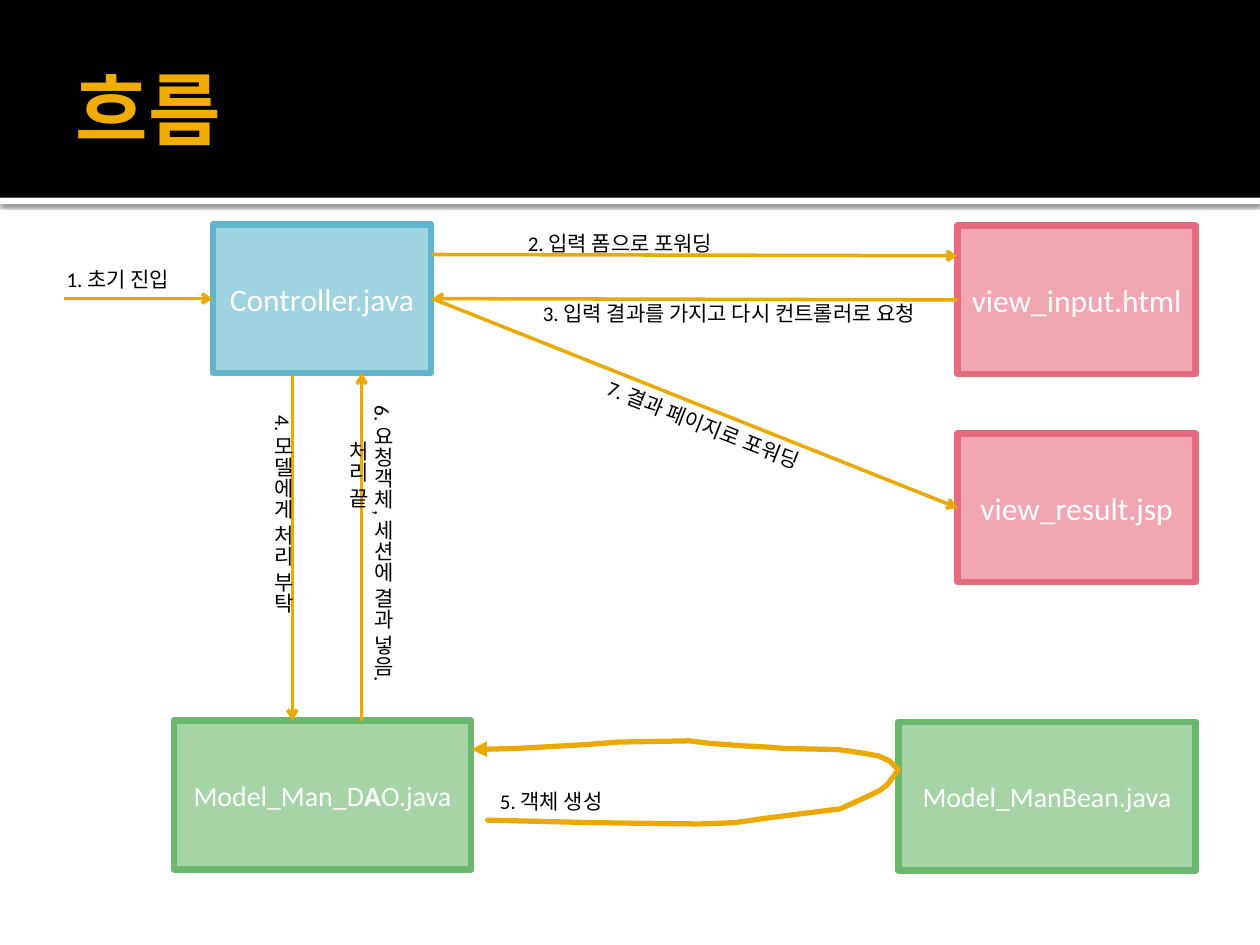
from lxml import etree
from pptx import Presentation
from pptx.dml.color import RGBColor
from pptx.enum.shapes import MSO_CONNECTOR, MSO_SHAPE
from pptx.enum.text import MSO_ANCHOR, MSO_AUTO_SIZE, PP_ALIGN
from pptx.oxml.ns import qn
from pptx.util import Inches, Pt

STRAIGHT = MSO_CONNECTOR.STRAIGHT
RECTANGLE = MSO_SHAPE.RECTANGLE
MIDDLE = MSO_ANCHOR.MIDDLE
GROW = MSO_AUTO_SIZE.SHAPE_TO_FIT_TEXT
NO_FIT = MSO_AUTO_SIZE.NONE
LEFT, CENTER = PP_ALIGN.LEFT, PP_ALIGN.CENTER
TITLE_ONLY = 5


def color(value):
    """Turn a hex string into a colour."""
    return RGBColor.from_string(value)


def add_xml(parent, tag, **attributes):
    """Append a DrawingML element to its parent."""
    values = {name: str(value) for name, value in attributes.items()}
    return etree.SubElement(parent, qn(tag), values)


class FlowSlide:
    """Style of the flow diagram and the slide it is drawn on."""

    font = "Calibri"
    accent = "EBA900"
    white = "FFFFFF"
    black = "000000"
    blue = ("A0D3E0", "60B5CC")
    pink = ("F0A7B1", "E66C7D")
    green = ("A6D4A7", "6BB76D")

    def __init__(self, deck):
        """Add a title-only slide to the deck."""
        self.slide = deck.slides.add_slide(deck.slide_layouts[TITLE_ONLY])
        self.shapes = self.slide.shapes

    def span(self, para, text, size, fill, bold=False):
        """Add one run to a paragraph."""
        span = para.add_run()
        span.text = text
        span.font.name = self.font
        span.font.size = Pt(size)
        span.font.bold = bold
        span.font.color.rgb = color(fill)

    def stroke(self, line, fill, width, arrow=None):
        """Format a line with round joins and an optional arrowhead."""
        line.color.rgb = color(fill)
        line.width = Pt(width)
        outline = line._get_or_add_ln()
        add_xml(outline, "a:round")
        if arrow:
            add_xml(outline, "a:tailEnd", type=arrow)

    def rectangle(self, left, top, width, height, fill):
        """Draw a plain filled rectangle."""
        box = self.shapes.add_shape(RECTANGLE, Inches(left), Inches(top),
                                    Inches(width), Inches(height))
        box.shadow.inherit = False
        box.fill.solid()
        box.fill.fore_color.rgb = color(fill)
        box.line.fill.background()
        return box

    def header(self, text):
        """Draw the title band, its shadowed edge and the title."""
        edge = self.rectangle(0, 1.57, 10, 0.05, self.white)
        effects = edge._element.spPr.find(qn("a:effectLst"))
        shadow = add_xml(effects, "a:outerShdw", blurRad=Pt(2.5), dist=Pt(0.8),
                         dir=5400000, algn="t", rotWithShape=0)
        shade = add_xml(shadow, "a:srgbClr", val=self.black)
        add_xml(shade, "a:alpha", val=60000)
        self.rectangle(0, 0, 10, 1.57, self.black)

        title = self.shapes.title
        title.left, title.top = Inches(0.5), Inches(0.17)
        title.width, title.height = Inches(9), Inches(1.37)
        frame = title.text_frame
        frame.auto_size = NO_FIT
        frame.vertical_anchor = MIDDLE
        frame.margin_left = Inches(0.1)
        frame.margin_right = frame.margin_top = frame.margin_bottom = Inches(0.05)
        para = frame.paragraphs[0]
        para.alignment = LEFT
        self.span(para, text, 45, "F0AD00", True)
        self.shapes._spTree.append(title._element)

    def component(self, left, top, width, colors, size, *spans):
        """Draw a component box; each span is a text and its bold flag."""
        fill, border = colors
        box = self.rectangle(left, top, width, 1.18, fill)
        self.stroke(box.line, border, 3.78)
        frame = box.text_frame
        frame.word_wrap = True
        frame.vertical_anchor = MIDDLE
        para = frame.paragraphs[0]
        para.alignment = CENTER
        for text, bold in spans:
            self.span(para, text, size, self.white, bold)

    def arrow(self, start, end):
        """Draw a straight arrow between two points."""
        ends = [Inches(value) for value in (*start, *end)]
        line = self.shapes.add_connector(STRAIGHT, *ends)
        self.stroke(line.line, self.accent, 2, "arrow")
        add_xml(line._element.spPr, "a:effectLst")

    def loop(self, points):
        """Draw a hand-drawn arrow through the points."""
        first, *rest = [(Inches(x), Inches(y)) for x, y in points]
        builder = self.shapes.build_freeform(*first)
        builder.add_line_segments(rest, close=False)
        curve = builder.convert_to_shape()
        curve.shadow.inherit = False
        curve.fill.background()
        self.stroke(curve.line, self.accent, 3, "triangle")
        curve.line._get_or_add_ln().set("cap", "rnd")

    def label(self, left, top, width, height, *lines,
              vertical=False, wrap=False, rotation=0):
        """Write a step label; lines after the first are indented."""
        box = self.shapes.add_textbox(Inches(left), Inches(top),
                                      Inches(width), Inches(height))
        box.rotation = rotation
        frame = box.text_frame
        frame.word_wrap = wrap
        frame.auto_size = GROW
        if vertical:
            frame._txBody.bodyPr.set("vert", "eaVert")
        for index, text in enumerate(lines):
            para = frame.add_paragraph() if index else frame.paragraphs[0]
            if index:
                para._p.get_or_add_pPr().set("marL", str(Inches(0.28)))
            self.span(para, text, 12, self.black)


deck = Presentation()
deck.slide_width, deck.slide_height = Inches(10), Inches(7.5)
page = FlowSlide(deck)
page.header("흐름")

page.component(1.69, 1.78, 1.73, page.blue, 18, ("Controller.java", False))
page.component(7.6, 1.79, 1.89, page.pink, 18, ("view_input.html", False))
page.component(7.6, 3.44, 1.89, page.pink, 18, ("view_result.jsp", False))
page.component(1.38, 5.72, 2.36, page.green, 16,
               ("Model_Man_D", False), ("A", True), ("O.java", False))
page.component(7.13, 5.73, 2.36, page.green, 16, ("Model_ManBean.java", False))

controller_side = (3.43, 2.37)
for start, end in (
    ((0.51, 2.37), (1.69, 2.37)),
    ((3.43, 2.02), (7.6, 2.03)),
    ((7.6, 2.38), controller_side),
    ((2.32, 2.98), (2.32, 5.72)),
    ((2.87, 5.72), (2.87, 2.96)),
    (controller_side, (7.6, 4.03)),
):
    page.arrow(start, end)

page.loop([
    (3.87, 6.51), (4.71, 6.53), (5.55, 6.54), (5.83, 6.53), (6.11, 6.49),
    (6.43, 6.45), (6.67, 6.42), (6.91, 6.31), (6.99, 6.27), (7.05, 6.22),
    (7.07, 6.19), (7.13, 6.11), (7.06, 6.04), (6.97, 6), (6.86, 5.98),
    (6.73, 5.96), (6.65, 5.95), (6.22, 5.94), (6.09, 5.93), (5.9, 5.92),
    (5.63, 5.9), (5.47, 5.88), (4.91, 5.89), (4.65, 5.91), (4.3, 5.93),
    (4.11, 5.94), (3.74, 5.95),
])

page.label(0.43, 2.07, 1.06, 0.3, "1. 초기 진입")
page.label(4.09, 1.78, 1.78, 0.3, "2. 입력 폼으로 포워딩")
page.label(4.21, 2.34, 3.38, 0.3, "3. 입력 결과를 가지고 다시 컨트롤러로 요청")
page.label(2, 3.2, 0.4, 1.68, "4. 모델에게 처리 부탁", vertical=True)
page.label(2.58, 3.12, 0.61, 2.61, "6. 요청객체, 세션에 결과 넣음.", "처리 끝",
           vertical=True, wrap=True)
page.label(3.87, 6.21, 1.07, 0.3, "5. 객체 생성")
page.label(4.67, 3.24, 1.93, 0.3, "7. 결과 페이지로 포워딩", rotation=21.4)

deck.save("out.pptx")
